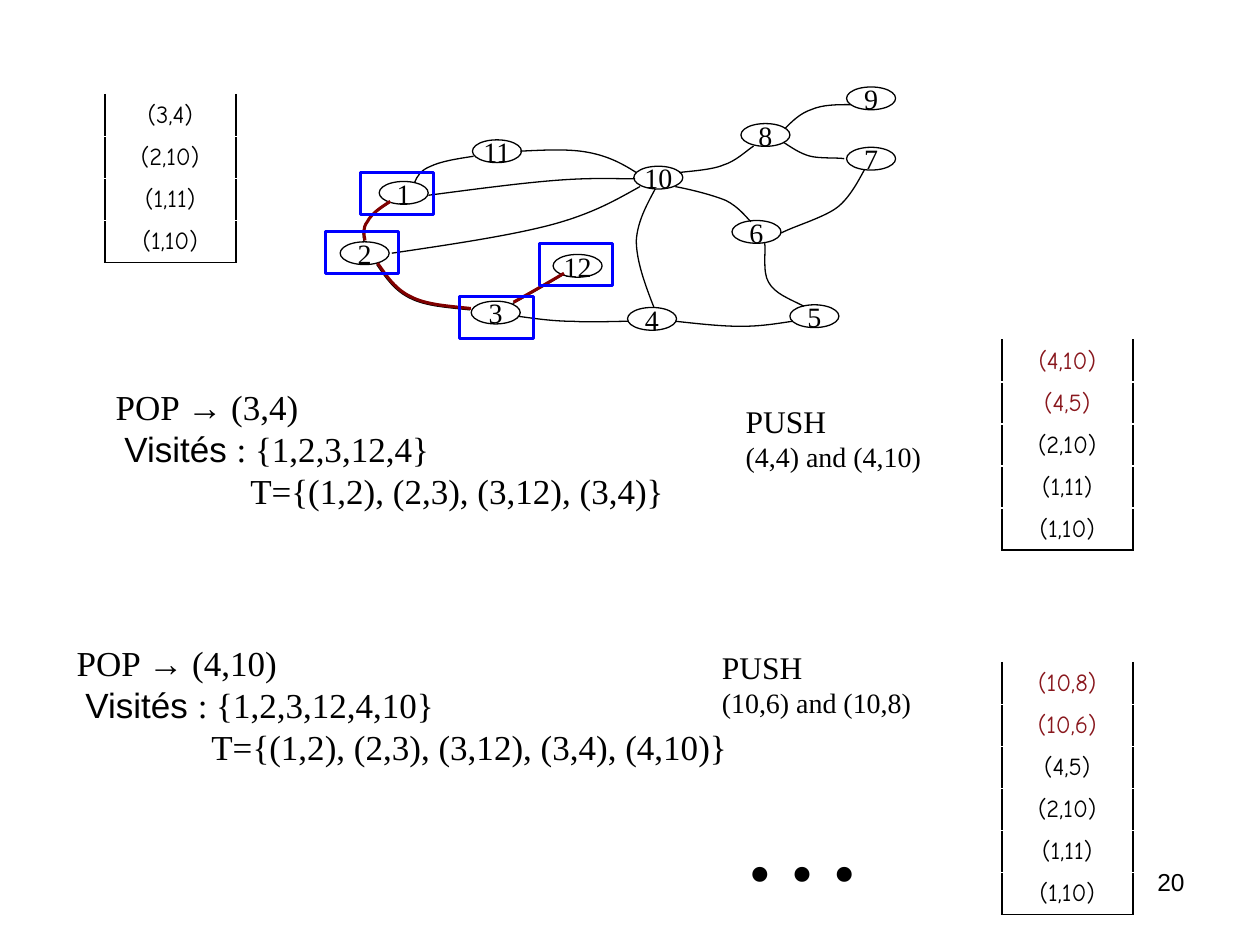
from lxml.etree import SubElement
from pptx import Presentation
from pptx.dml.color import RGBColor
from pptx.enum.shapes import MSO_SHAPE as Shape
from pptx.enum.text import MSO_ANCHOR as Anchor, PP_ALIGN as Align
from pptx.oxml import parse_xml
from pptx.oxml.ns import nsdecls, qn
from pptx.util import Pt

SERIF, SANS, HAND = "Times New Roman", "Arial", "Comic Neue"
BLACK, WHITE, BLUE, RED, DARK_RED = "000000", "FFFFFF", "0000FF", "800000", "89171D"
NODE_SIZE, FRAME_SIZE = (28, 13), (42, 24)
ROW_HEIGHT, STACK_WIDTH = 24, 75

NODES = {
    "1": (36.7, 55.7), "2": (14.4, 90.2), "3": (89.3, 124.1), "4": (178.6, 127.7),
    "5": (271.4, 126.2), "6": (238.3, 78), "7": (303.8, 36.2), "8": (243.4, 22.6),
    "9": (303.8, 1.7), "10": (182.2, 47), "11": (90, 31.9), "12": (136.1, 97.4),
}
VISITED_FRAMES = [(82.8, 121.2), (128.2, 91), (5.8, 84.5), (25.9, 50.6)]
TREE_EDGES = [
    [(35.3, 103.2), (40.3, 110.4), (45.4, 118.3), (54.7, 122.6), (63.4, 127), (75.6, 127.7), (88.6, 129.1)],
    [(113, 125.5), (113, 125.5), (127.4, 117.6), (141.8, 109)],
    [(42.5, 67.9), (36.7, 71.5), (31.7, 75.1), (29.5, 79.4), (26.6, 83), (27.4, 86.6), (28.1, 90.2)],
]
OTHER_EDGES = [
    [(115.9, 132.7), (126.7, 134.2), (136.8, 135.6), (147.6, 135.6), (157.7, 136.3), (168.5, 135.6), (179.3, 135.6)],
    [(205.9, 135.6), (218.9, 137), (231.8, 138.5), (243.4, 138.5), (254.9, 138.5), (263.5, 137), (272.9, 135.6)],
    [(257, 91), (257.8, 94.6), (255.6, 107.5), (259.2, 113.3), (262.8, 119.8), (270.7, 122.6), (279.4, 127)],
    [(205.9, 58.6), (216.7, 60.7), (227.5, 63.6), (234.7, 66.5), (241.9, 70.1), (246.2, 75.8), (249.1, 78.7)],
    [(193.7, 127.7), (188.6, 114.7), (183.6, 101), (183.6, 89.5), (184.3, 78.7), (189.4, 69.4), (194.4, 60)],
    [(43.9, 96.7), (77.8, 91.7), (112.3, 86.6), (136.1, 80.2), (159.8, 73.7), (172.8, 65.8), (185.8, 58.6)],
    [(183.6, 50.6), (175.7, 45.6), (167.8, 41.3), (156.2, 39.1), (145.4, 37), (131.8, 37.7), (117.4, 38.4)],
    [(90.7, 41.3), (81.4, 42.7), (72, 44.2), (66.2, 47), (60.5, 49.2), (58.3, 52.8), (56.9, 56.4)],
    [(64.8, 63.6), (92.2, 60), (119.5, 56.4), (139, 55), (158.4, 53.5), (170.6, 54.2), (182.9, 54.2)],
    [(208.1, 50.6), (212.4, 49.9), (226.8, 49.2), (233.3, 46.3), (240.5, 44.2), (247, 37.7), (250.6, 35.5)],
    [(268.6, 25.4), (272.9, 21.1), (277.2, 16.8), (283.7, 14.6), (290.2, 11.8), (298.1, 11.8), (306, 11.8)],
    [(267.8, 33.4), (272.2, 36.2), (277.2, 39.8), (283, 41.3), (288.7, 42.7), (298.8, 42), (302.4, 42.7)],
    [(313.9, 49.2), (311.8, 52.8), (306, 65), (298.1, 70.8), (290.2, 76.6), (272.9, 81.6), (266.4, 85.2)],
]


def color(hex_string):
    """Turn a hex string into a colour."""
    return RGBColor.from_string(hex_string)


def write(paragraph, text, font=SERIF, size=16, fill=BLACK, align=None):
    """Add a formatted run to a paragraph."""
    if align is not None:
        paragraph.alignment = align
    run = paragraph.add_run()
    run.text = text
    run.font.name, run.font.size = font, Pt(size)
    run.font.color.rgb = color(fill)


def add_text(slide, box, lines):
    """Add a text box; each line is an indent, its runs and their shared format."""
    frame = slide.shapes.add_textbox(*map(Pt, box)).text_frame
    frame.word_wrap = True
    for index, (indent, runs, style) in enumerate(lines):
        paragraph = frame.add_paragraph() if index else frame.paragraphs[0]
        if indent:
            paragraph._p.get_or_add_pPr().set("marL", str(Pt(indent)))
        for text, font in runs:
            write(paragraph, text, font=font, **style)


def add_outline(slide, kind, box, line, width, fill=None):
    """Add an outlined preset shape, filled or hollow."""
    shape = slide.shapes.add_shape(kind, *map(Pt, box))
    shape.shadow.inherit = False
    shape.line.color.rgb, shape.line.width = color(line), Pt(width)
    if fill:
        shape.fill.solid()
        shape.fill.fore_color.rgb = color(fill)
    else:
        shape.fill.background()
    return shape


def add_curve(slide, left, top, points, line=BLACK, width=0.75):
    """Add a curve whose points are a start followed by Bézier triples."""
    start, *rest = [(Pt(left + x), Pt(top + y)) for x, y in points]
    builder = slide.shapes.build_freeform(*start)
    builder.add_line_segments(rest, close=False)
    shape = builder.convert_to_shape()
    shape.shadow.inherit = False
    shape.fill.background()
    shape.line.color.rgb, shape.line.width = color(line), Pt(width)
    outline = next(shape._element.iter(qn("a:path")))
    segments = outline.findall(qn("a:lnTo"))
    for index in range(0, len(segments), 3):
        curve = SubElement(outline, qn("a:cubicBezTo"))
        for segment in segments[index:index + 3]:
            curve.append(segment[0])
            outline.remove(segment)


def add_graph(slide, left, top):
    """Draw the nodes, edges, tree edges and frames of visited nodes."""
    for label, (x, y) in NODES.items():
        node = add_outline(slide, Shape.OVAL, (left + x, top + y, *NODE_SIZE), BLACK, 0.75, WHITE)
        frame = node.text_frame
        frame.word_wrap, frame.vertical_anchor = False, Anchor.MIDDLE
        write(frame.paragraphs[0], label, align=Align.CENTER)
    for points in TREE_EDGES + OTHER_EDGES:
        add_curve(slide, left, top, points)
    for points in TREE_EDGES:
        add_curve(slide, left + 0.5, top - 0.8, points, RED, 1.75)
    for x, y in VISITED_FRAMES:
        add_outline(slide, Shape.RECTANGLE, (left + x, top + y, *FRAME_SIZE), BLUE, 1.75)


def add_stack(slide, left, top, entries, pushed=0):
    """Add a stack open at the top, its newly pushed entries in red."""
    count = len(entries)
    box = map(Pt, (left, top, STACK_WIDTH, ROW_HEIGHT * count))
    table = slide.shapes.add_table(count, 1, *box).table
    table.first_row = table.horz_banding = False
    for index, entry in enumerate(entries):
        cell = table.cell(index, 0)
        cell.fill.background()
        cell.vertical_anchor = Anchor.MIDDLE
        write(cell.text_frame.paragraphs[0], entry, HAND, 14,
              DARK_RED if index < pushed else BLACK, Align.CENTER)
        sides = ["lnL", "lnR"] + ["lnB"] * (index == count - 1)
        for position, side in enumerate(sides):
            cell._tc.get_or_add_tcPr().insert(position, parse_xml(
                f'<a:{side} {nsdecls("a")} w="{Pt(1.08)}"><a:solidFill>'
                f'<a:srgbClr val="{BLACK}"/></a:solidFill></a:{side}>'))


def add_pop(slide, box, popped, visited, tree):
    """Add the popped edge, the visited nodes and the tree so far."""
    style = {"size": 20}
    add_text(slide, box, [
        (0, [("POP ", SERIF), ("→", SANS), (f" {popped}", SERIF)], style),
        (5, [("Visités ", SANS), (f": {{{visited}}}", SERIF)], style),
        (77, [(f"T={{{tree}}}", SERIF)], style),
    ])


def add_push(slide, box, pushed):
    """Add the heading PUSH above the pushed edges."""
    add_text(slide, box, [(0, [("PUSH", SERIF)], {"size": 18}), (0, [(pushed, SERIF)], {"size": 16})])


def main():
    """Build the depth-first search slide."""
    presentation = Presentation()
    presentation.slide_width, presentation.slide_height = Pt(720), Pt(540)
    slide = presentation.slides.add_slide(presentation.slide_layouts[6])
    add_graph(slide, 180, 48)
    add_stack(slide, 59.8, 54, ["(3,4)", "(2,10)", "(1,11)", "(1,10)"])
    add_stack(slide, 572.4, 194.4, ["(4,10)", "(4,5)", "(2,10)", "(1,11)", "(1,10)"], pushed=2)
    add_stack(slide, 572.4, 378.7, ["(10,8)", "(10,6)", "(4,5)", "(2,10)", "(1,11)", "(1,10)"], pushed=2)
    add_pop(slide, (59, 216.7, 451.4, 79.2), "(3,4)", "1,2,3,12,4", "(1,2), (2,3), (3,12), (3,4)")
    add_pop(slide, (36.7, 363, 409.7, 79.2), "(4,10)", "1,2,3,12,4,10",
            "(1,2), (2,3), (3,12), (3,4), (4,10)")
    add_push(slide, (419, 226, 114.5, 48.2), "(4,4) and (4,10)")
    add_push(slide, (405.4, 366.5, 148.3, 48.2), "(10,6) and (10,8)")
    add_text(slide, (377.3, 427.7, 162.7, 93.6),
             [(0, [("…", SERIF)], {"size": 72, "align": Align.CENTER})])
    add_text(slide, (516.2, 491.8, 167.8, 37.4),
             [(0, [("20", SANS)], {"size": 14, "align": Align.RIGHT})])
    presentation.save("out.pptx")


if __name__ == "__main__":
    main()
